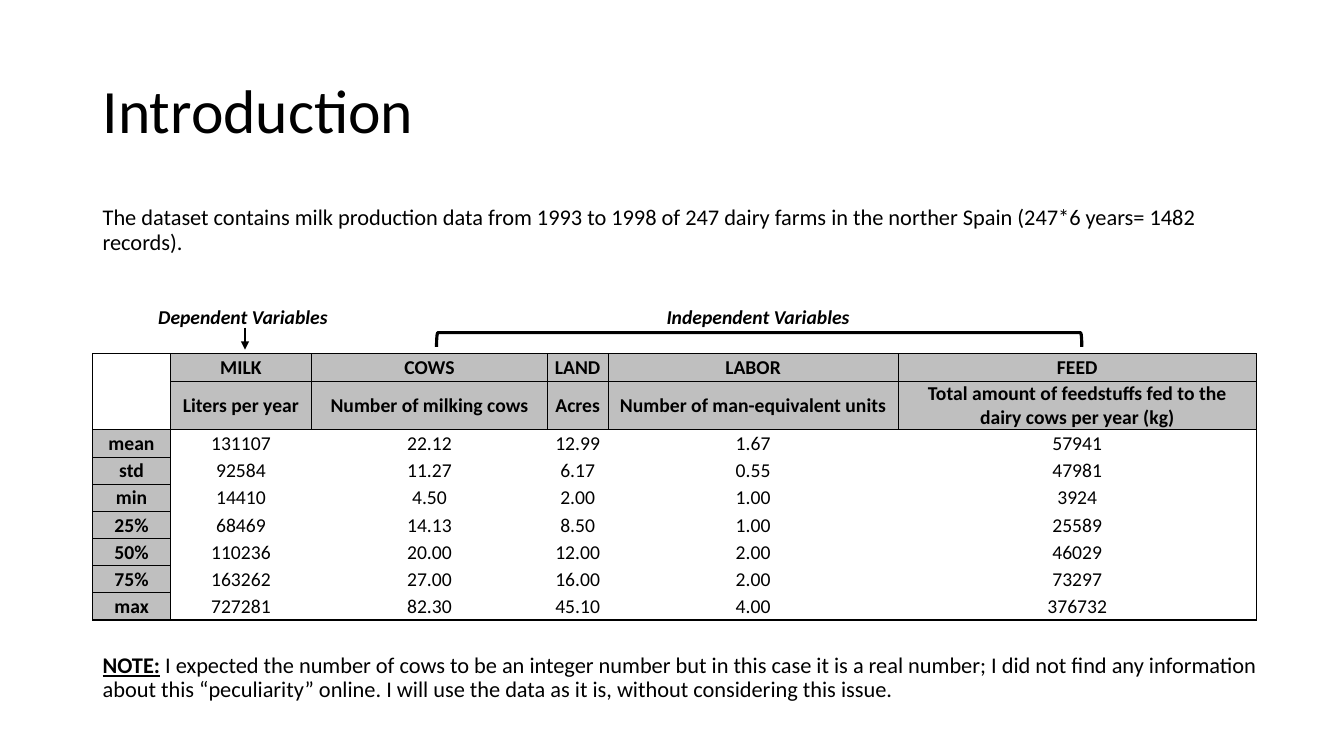
from dataclasses import dataclass

import lxml.etree
import pptx
import pptx.dml.color
import pptx.enum.shapes
import pptx.enum.text
import pptx.oxml
import pptx.oxml.ns
import pptx.util

Inches = pptx.util.Inches
Pt = pptx.util.Pt
Alignment = pptx.enum.text.PP_ALIGN
Anchor = pptx.enum.text.MSO_ANCHOR

BLACK = pptx.dml.color.RGBColor(0x00, 0x00, 0x00)
HEADER_GRAY = pptx.dml.color.RGBColor(0xBF, 0xBF, 0xBF)
FONT = "Calibri"
LEFT = 0.92

COLUMN_WIDTHS = (0.77, 1.4, 2.34, 0.6, 2.88, 3.55)
ROW_HEIGHT = 0.27
HEADER_ROWS = 2
STATISTICS = (
    ("", "MILK", "COWS", "LAND", "LABOR", "FEED"),
    ("", "Liters per year", "Number of milking cows", "Acres", "Number of man-equivalent units",
     "Total amount of feedstuffs fed to the\ndairy cows per year (kg)"),
    ("mean", "131107", "22.12", "12.99", "1.67", "57941"),
    ("std", "92584", "11.27", "6.17", "0.55", "47981"),
    ("min", "14410", "4.50", "2.00", "1.00", "3924"),
    ("25%", "68469", "14.13", "8.50", "1.00", "25589"),
    ("50%", "110236", "20.00", "12.00", "2.00", "46029"),
    ("75%", "163262", "27.00", "16.00", "2.00", "73297"),
    ("max", "727281", "82.30", "45.10", "4.00", "376732"),
)


@dataclass(frozen=True)
class TextBlock:
    text: str
    left: float
    top: float
    width: float
    height: float
    size: float = 16
    emphasis: bool = False
    centered: bool = False
    space_before: float = 10
    anchor: Anchor = Anchor.TOP
    lead: str = ""


TEXT_BLOCKS = (
    TextBlock("Introduction", LEFT, 0.4, 11.5, 1.45, size=44, space_before=0, anchor=Anchor.MIDDLE),
    TextBlock("The dataset contains milk production data from 1993 to 1998 of 247 dairy farms "
              "in the norther Spain (247*6 years= 1482 records).", LEFT, 2, 11.87, 0.38),
    TextBlock(" I expected the number of cows to be an integer number but in this case it is a real "
              "number; I did not find any information about this “peculiarity” online. I will use "
              "the data as it is, without considering this issue.",
              LEFT, 6.44, 11.87, 0.66, lead="NOTE:"),
    TextBlock("Independent Variables", 4.32, 3, 6.4, 0.38, size=14, emphasis=True, centered=True),
    TextBlock("Dependent Variables", 1.05, 3, 2.72, 0.38, size=14, emphasis=True, centered=True),
)


def write(paragraph, text: str, *, size: float, bold: bool = False, italic: bool = False,
          underline: bool = False, centered: bool = False) -> None:
    """Append one formatted run to a paragraph."""
    paragraph.alignment = Alignment.CENTER if centered else Alignment.LEFT
    run = paragraph.add_run()
    run.text = text
    font = run.font
    font.name, font.size, font.bold = FONT, Pt(size), bold
    font.italic, font.underline = italic, underline
    font.color.rgb = BLACK


def add_text_block(slide, block: TextBlock) -> None:
    shape = slide.shapes.add_textbox(Inches(block.left), Inches(block.top),
                                     Inches(block.width), Inches(block.height))
    frame = shape.text_frame
    frame.word_wrap = True
    frame.vertical_anchor = block.anchor
    paragraph = frame.paragraphs[0]
    paragraph.line_spacing = 0.9
    paragraph.space_before = Pt(block.space_before)
    if block.lead:
        write(paragraph, block.lead, size=block.size, bold=True, underline=True)
    write(paragraph, block.text, size=block.size, bold=block.emphasis,
          italic=block.emphasis, centered=block.centered)


def is_corner(row: int, column: int) -> bool:
    return row < HEADER_ROWS and column == 0


def is_header(row: int, column: int) -> bool:
    return row < HEADER_ROWS or column == 0


def border_width(row: int, column: int, next_row: int, next_column: int) -> float:
    """Outer edges are thick, header edges thin, and body cells have none."""
    if not (0 <= next_row < len(STATISTICS) and 0 <= next_column < len(COLUMN_WIDTHS)):
        return 1
    if is_corner(row, column) and is_corner(next_row, next_column):
        return 0
    return 0.5 if is_header(row, column) or is_header(next_row, next_column) else 0


def set_border(cell, side: str, width: float) -> None:
    properties = cell._tc.get_or_add_tcPr()
    line = lxml.etree.SubElement(properties, pptx.oxml.ns.qn(f"a:ln{side}"), w=str(Pt(width)))
    if width:
        fill = lxml.etree.SubElement(line, pptx.oxml.ns.qn("a:solidFill"))
        lxml.etree.SubElement(fill, pptx.oxml.ns.qn("a:srgbClr"), val=str(BLACK))
    else:
        lxml.etree.SubElement(line, pptx.oxml.ns.qn("a:noFill"))


def fill_cell(cell, text: str, row: int, column: int) -> None:
    neighbours = {"L": (row, column - 1), "R": (row, column + 1),
                  "T": (row - 1, column), "B": (row + 1, column)}
    for side, neighbour in neighbours.items():
        set_border(cell, side, border_width(row, column, *neighbour))
    header = is_header(row, column)
    if header and not is_corner(row, column):
        cell.fill.solid()
        cell.fill.fore_color.rgb = HEADER_GRAY
    else:
        cell.fill.background()
    cell.margin_left = cell.margin_right = cell.margin_top = Inches(0.01)
    cell.margin_bottom = 0
    cell.vertical_anchor = Anchor.MIDDLE
    for index, line in enumerate(text.split("\n")):
        frame = cell.text_frame
        paragraph = frame.add_paragraph() if index else frame.paragraphs[0]
        write(paragraph, line, size=14, bold=header, centered=True)


def add_statistics_table(slide) -> None:
    rows, columns = len(STATISTICS), len(COLUMN_WIDTHS)
    table = slide.shapes.add_table(rows, columns, Inches(LEFT), Inches(3.51),
                                   Inches(sum(COLUMN_WIDTHS)), Inches(rows * ROW_HEIGHT)).table
    table.first_row = table.horz_banding = False
    for column, width in zip(table.columns, COLUMN_WIDTHS):
        column.width = Inches(width)
    for row in table.rows:
        row.height = Inches(ROW_HEIGHT)
    for row, values in enumerate(STATISTICS):
        for column, text in enumerate(values):
            fill_cell(table.cell(row, column), text, row, column)
    table.cell(0, 0).merge(table.cell(HEADER_ROWS - 1, 0))


def add_independent_bracket(slide) -> None:
    bracket = slide.shapes.add_shape(pptx.enum.shapes.MSO_SHAPE.RIGHT_BRACKET, Inches(7.46),
                                     Inches(0.17), Inches(0.14), Inches(6.4))
    bracket.rotation = 270
    bracket.shadow.inherit = False
    bracket.fill.background()
    bracket.line.color.rgb = BLACK
    bracket.line.width = Pt(2.25)


def add_dependent_arrow(slide) -> None:
    arrow = slide.shapes.add_connector(pptx.enum.shapes.MSO_CONNECTOR.STRAIGHT, Inches(2.43),
                                       Inches(3.25), Inches(2.43), Inches(3.47))
    arrow.line.color.rgb = BLACK
    arrow.line.width = Pt(1.5)
    line = arrow.line._get_or_add_ln()
    lxml.etree.SubElement(line, pptx.oxml.ns.qn("a:tailEnd"), type="triangle")
    lxml.etree.SubElement(arrow._element.spPr, pptx.oxml.ns.qn("a:effectLst"))


presentation = pptx.Presentation()
presentation.slide_width = Inches(13.33)
presentation.slide_height = Inches(7.5)
slide = presentation.slides.add_slide(presentation.slide_layouts[6])

# Statistics of the dataset
add_statistics_table(slide)

# Markers above the table
add_independent_bracket(slide)
add_dependent_arrow(slide)

# Title, description, note and marker labels
for block in TEXT_BLOCKS:
    add_text_block(slide, block)

presentation.save("out.pptx")
